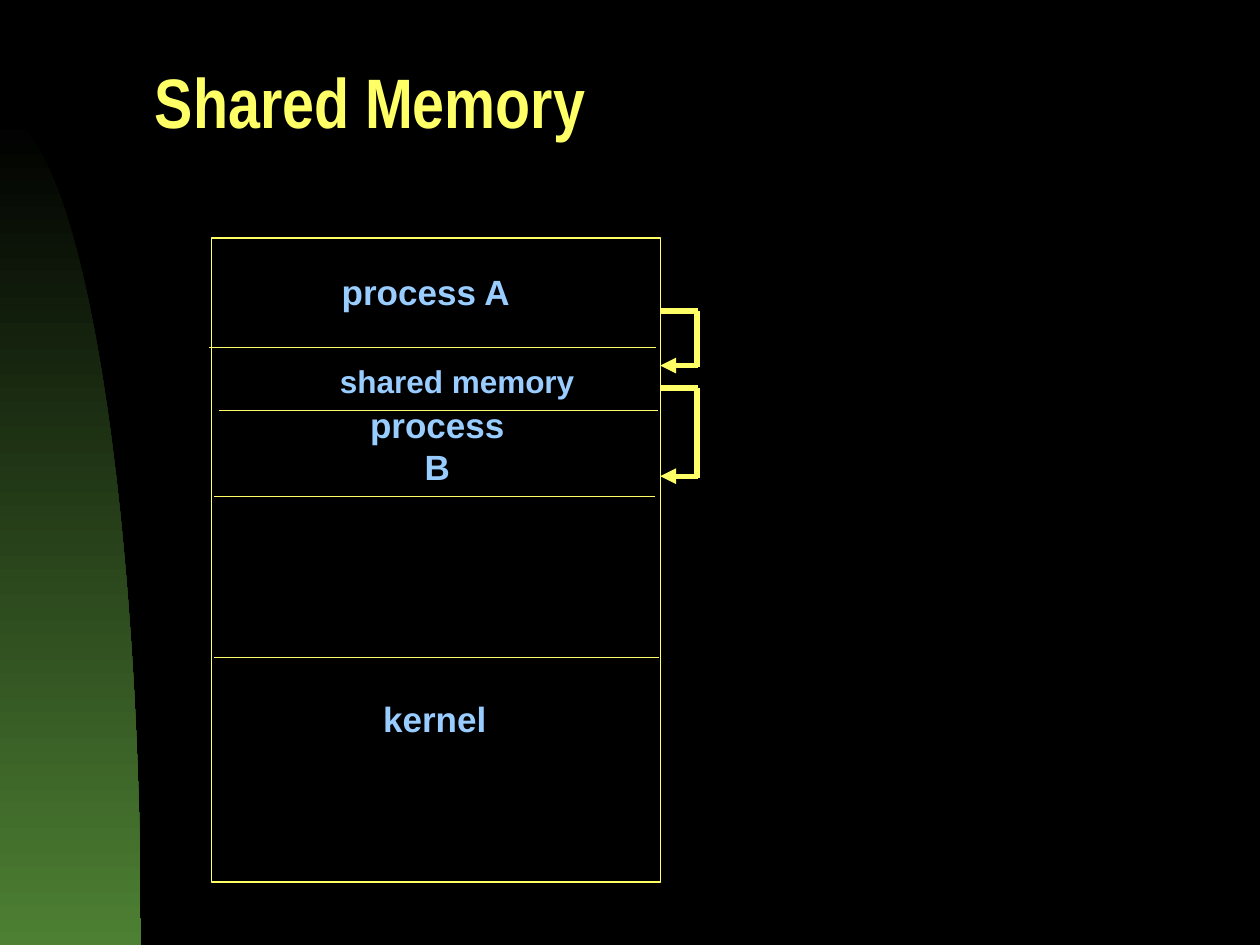
import math
from dataclasses import dataclass

from lxml import etree
from pptx import Presentation
from pptx import util as u
from pptx.dml.color import RGBColor
from pptx.enum import shapes as sh
from pptx.enum import text as tx
from pptx.oxml import ns

BLACK = RGBColor(0x00, 0x00, 0x00)
GREEN = RGBColor(0x4D, 0x80, 0x33)
YELLOW = RGBColor(0xFF, 0xFF, 0x66)
BLUE = RGBColor(0x99, 0xCC, 0xFF)

SLIDE_WIDTH, SLIDE_HEIGHT = 25.4, 19.05
ARC_WIDTH, ARC_TOP = 2.84, 2.34
ARC_STEPS = 60
BRACKET_LEFT, BRACKET_RIGHT = 13.31, 14.05
THIN, THICK = 0.75, 3


@dataclass(frozen=True)
class Divider:
    left: float
    right: float
    y: float


@dataclass(frozen=True)
class Label:
    wording: str
    left: float
    top: float
    width: float
    height: float = 1.12
    size: int = 20


@dataclass(frozen=True)
class Bracket:
    top: float
    bottom: float


DIVIDERS = [
    Divider(4.22, 13.23, 7.0),
    Divider(4.42, 13.26, 8.28),
    Divider(4.32, 13.21, 10.01),
    Divider(4.32, 13.28, 13.26),
]
LABELS = [
    Label("process A", 6.63, 5.31, 3.91),
    Label("shared memory", 6.6, 7.16, 5.23, 1.02, 18),
    Label("process B", 6.86, 8.43, 3.91),
    Label("kernel", 7.47, 13.92, 2.59),
]
BRACKETS = [Bracket(6.27, 7.37), Bracket(7.82, 9.6)]


def style_run(run, font: str, size: float, color: RGBColor) -> None:
    run.font.name = font
    run.font.size = u.Pt(size)
    run.font.bold = True
    run.font.color.rgb = color


def add_green_arc(slide) -> None:
    """Draw the quarter ellipse that rises along the left edge."""
    height = SLIDE_HEIGHT - ARC_TOP
    angles = [math.pi / 2 * step / ARC_STEPS for step in range(ARC_STEPS + 1)]
    curve = [
        (u.Cm(ARC_WIDTH * math.sin(a)), u.Cm(SLIDE_HEIGHT - height * math.cos(a)))
        for a in angles
    ]
    builder = slide.shapes.build_freeform(*curve[0])
    builder.add_line_segments(curve[1:] + [(0, u.Cm(SLIDE_HEIGHT))], close=True)
    arc = builder.convert_to_shape()
    arc.shadow.inherit = False
    arc.line.fill.background()
    arc.fill.gradient()
    arc.fill.gradient_angle = 270
    for stop, color in zip(arc.fill.gradient_stops, (BLACK, GREEN)):
        stop.color.rgb = color
    first, last = arc.fill.gradient_stops
    first.position, last.position = 0, 1


def add_title(slide) -> None:
    title = slide.shapes.title
    title.left, title.top = u.Cm(2.87), u.Cm(0.91)
    title.width, title.height = u.Cm(21.89), u.Cm(2.67)
    frame = title.text_frame
    frame.text = "Shared Memory"
    frame.auto_size = tx.MSO_AUTO_SIZE.NONE
    frame.vertical_anchor = tx.MSO_ANCHOR.MIDDLE
    heading = frame.paragraphs[0]
    heading.alignment = tx.PP_ALIGN.LEFT
    heading.line_spacing = 0.7
    style_run(heading.runs[0], "Arial Narrow", 40, YELLOW)


def add_memory_frame(slide) -> None:
    memory = slide.shapes.add_shape(
        sh.MSO_SHAPE.RECTANGLE, u.Cm(4.27), u.Cm(4.8), u.Cm(9.04), u.Cm(12.98)
    )
    memory.shadow.inherit = False
    memory.fill.background()
    memory.line.color.rgb = YELLOW
    memory.line.width = u.Pt(THIN)


def add_line(slide, x1: float, y1: float, x2: float, y2: float,
             weight: float, arrow: bool = False) -> None:
    """Draw a yellow line, with an arrowhead at its start if arrow is set."""
    line = slide.shapes.add_connector(
        sh.MSO_CONNECTOR.STRAIGHT, u.Cm(x1), u.Cm(y1), u.Cm(x2), u.Cm(y2)
    )
    line.line.color.rgb = YELLOW
    line.line.width = u.Pt(weight)
    if arrow:
        outline = line.line._get_or_add_ln()
        etree.SubElement(outline, ns.qn("a:headEnd"), type="triangle")
    etree.SubElement(line._element.spPr, ns.qn("a:effectLst"))


def add_bracket(slide, bracket: Bracket) -> None:
    top, bottom = bracket.top, bracket.bottom
    add_line(slide, BRACKET_LEFT, top, BRACKET_RIGHT + 0.03, top, THICK)
    add_line(slide, BRACKET_RIGHT, top, BRACKET_RIGHT, bottom + 0.03, THICK)
    add_line(slide, BRACKET_LEFT, bottom, BRACKET_RIGHT + 0.03, bottom, THICK, arrow=True)


def add_label(slide, label: Label) -> None:
    box = slide.shapes.add_textbox(
        u.Cm(label.left), u.Cm(label.top), u.Cm(label.width), u.Cm(label.height)
    )
    frame = box.text_frame
    frame.text = label.wording
    frame.word_wrap = False
    frame.auto_size = tx.MSO_AUTO_SIZE.SHAPE_TO_FIT_TEXT
    frame.vertical_anchor = tx.MSO_ANCHOR.MIDDLE
    frame.paragraphs[0].alignment = tx.PP_ALIGN.CENTER
    style_run(frame.paragraphs[0].runs[0], "Arial", label.size, BLUE)


def main() -> None:
    deck = Presentation()
    deck.slide_width, deck.slide_height = u.Cm(SLIDE_WIDTH), u.Cm(SLIDE_HEIGHT)
    slide = deck.slides.add_slide(deck.slide_layouts.get_by_name("Title Only"))
    slide.background.fill.solid()
    slide.background.fill.fore_color.rgb = BLACK

    add_green_arc(slide)
    add_title(slide)
    add_memory_frame(slide)
    for divider in DIVIDERS:
        add_line(slide, divider.left, divider.y, divider.right, divider.y, THIN)
    for bracket in BRACKETS:
        add_bracket(slide, bracket)
    for label in LABELS:
        add_label(slide, label)
    deck.save("out.pptx")


if __name__ == "__main__":
    main()
